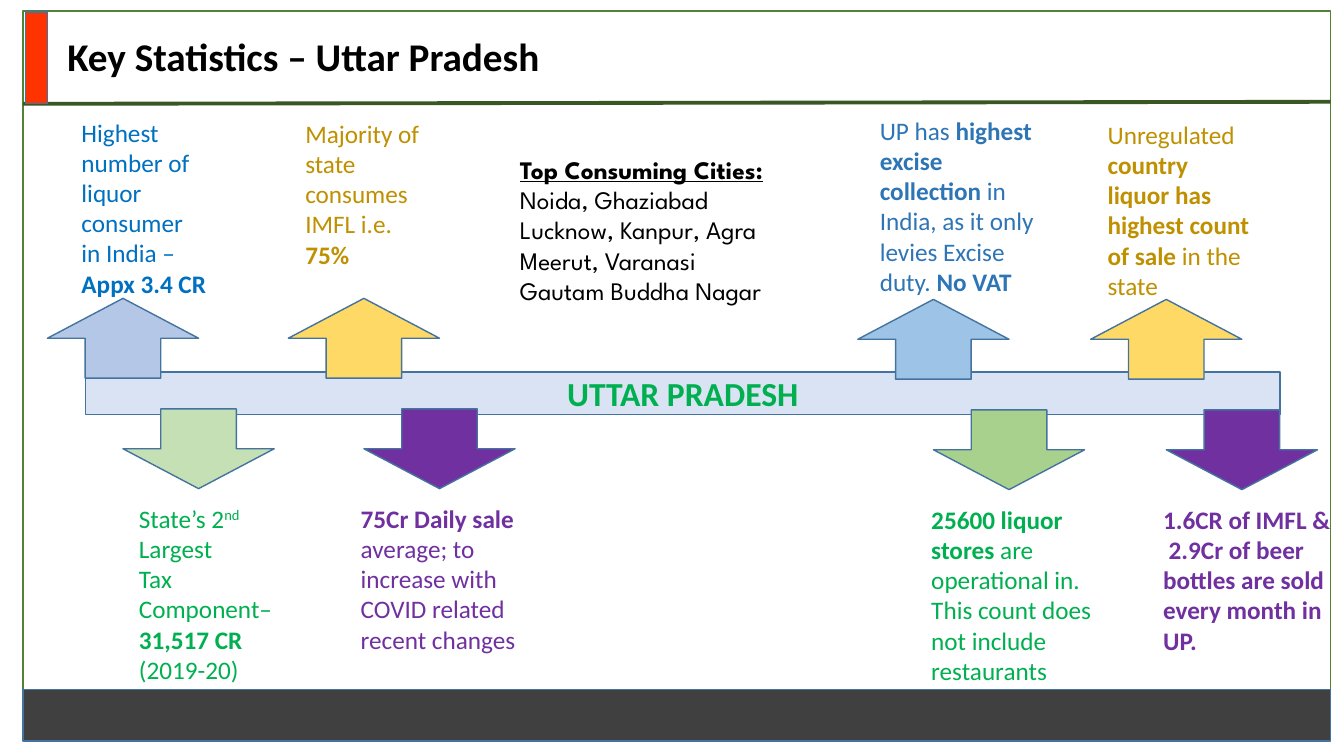
"""Build the Key Statistics slide for Uttar Pradesh on a grid of 160 columns by 90 rows."""
from pptx import Presentation
from pptx.dml.color import RGBColor
from pptx.enum.shapes import MSO_CONNECTOR, MSO_SHAPE
from pptx.enum.text import MSO_ANCHOR, PP_ALIGN
from pptx.oxml.ns import qn
from pptx.util import Inches, Pt
from lxml.etree import SubElement

BLACK = RGBColor(0x00, 0x00, 0x00)
WHITE = RGBColor(0xFF, 0xFF, 0xFF)
CHARCOAL = RGBColor(0x40, 0x40, 0x40)
RED = RGBColor(0xFF, 0x33, 0x00)
FRAME_GREEN = RGBColor(0x54, 0x82, 0x35)
RULE_GREEN = RGBColor(0x38, 0x57, 0x23)
OUTLINE = RGBColor(0x43, 0x73, 0x9E)
BAND = RGBColor(0xDA, 0xE3, 0xF3)
GREEN = RGBColor(0x00, 0xB0, 0x50)
PURPLE = RGBColor(0x70, 0x30, 0xA0)
BLUE = RGBColor(0x00, 0x70, 0xC0)
STEEL = RGBColor(0x2E, 0x75, 0xB6)
GOLD = RGBColor(0xBF, 0x90, 0x00)
YELLOW = RGBColor(0xFF, 0xD9, 0x66)
PERIWINKLE = RGBColor(0xB4, 0xC7, 0xE7)
SKY = RGBColor(0x9D, 0xC3, 0xE6)
MINT = RGBColor(0xC5, 0xE0, 0xB4)
LEAF = RGBColor(0xA9, 0xD1, 0x8E)

deck = Presentation()
deck.slide_width, deck.slide_height = Inches(13.33), Inches(7.5)
page = deck.slides.add_slide(deck.slide_layouts[6])
COLUMN, ROW = deck.slide_width / 160, deck.slide_height / 90


def add_block(kind, left, top, width, height, fill, line=OUTLINE):
    block = page.shapes.add_shape(kind, round(left * COLUMN), round(top * ROW),
                                  round(width * COLUMN), round(height * ROW))
    block.shadow.inherit = False
    block.fill.solid()
    block.fill.fore_color.rgb = fill
    block.line.color.rgb = line
    block.line.width = Pt(1)
    return block


def write(frame, paragraphs, color, size=18, font="Calibri"):
    frame.word_wrap = True
    for index, runs in enumerate(paragraphs):
        para = frame.paragraphs[0] if index == 0 else frame.add_paragraph()
        for text, style in runs:
            span = para.add_run()
            span.text = text
            span.font.name = font
            span.font.size = Pt(size)
            span.font.color.rgb = color
            span.font.bold = "bold" in style
            span.font.underline = "underline" in style
            if "superscript" in style:
                span.font._element.set("baseline", "30000")


add_block(MSO_SHAPE.RECTANGLE, 2.76, 1.32, 155.64, 86.88, WHITE, FRAME_GREEN)
rule = page.shapes.add_connector(MSO_CONNECTOR.STRAIGHT, round(2.76 * COLUMN), round(12.36 * ROW),
                                 round(158.4 * COLUMN), round(12.12 * ROW))
rule.line.color.rgb = RULE_GREEN
rule.line.width = Pt(2.75)
SubElement(rule._element.spPr, qn("a:effectLst"))
add_block(MSO_SHAPE.RECTANGLE, 3, 1.44, 2.64, 10.92, RED)
add_block(MSO_SHAPE.RECTANGLE, 2.76, 82.08, 155.64, 6.12, CHARCOAL)

title = page.shapes.add_textbox(round(6.84 * COLUMN), round(3.24 * ROW),
                                round(114.48 * COLUMN), round(6.84 * ROW))
write(title.text_frame, [[("Key Statistics – Uttar Pradesh", "bold")]], BLACK, 28)

band = add_block(MSO_SHAPE.RECTANGLE, 10.2, 44.28, 142.2, 5.04, BAND)
write(band.text_frame, [[("UTTAR PRADESH", "bold")]], GREEN, 24)
band.text_frame.vertical_anchor = MSO_ANCHOR.MIDDLE
band.text_frame.paragraphs[0].alignment = PP_ALIGN.CENTER

ARROW_WIDTH, ARROW_HEIGHT = 18, 9.5
arrow_pairs = [
    (5.64, 35.52, PERIWINKLE, MINT),
    (34.32, 35.52, YELLOW, PURPLE),
    (102.12, 35.64, SKY, LEAF),
    (129.84, 35.64, YELLOW, PURPLE),
]
for left, top, up_fill, down_fill in arrow_pairs:
    add_block(MSO_SHAPE.UP_ARROW, left, top, ARROW_WIDTH, ARROW_HEIGHT, up_fill)
    down = add_block(MSO_SHAPE.UP_ARROW, left + ARROW_WIDTH / 2, top + 13.15,
                     ARROW_WIDTH, ARROW_HEIGHT, down_fill)
    down.rotation = 180

statistics = [
    (8.52, 13.32, 17.28, 6, BLUE, "Calibri",
     [[("Highest number of liquor consumer in India – ", ""), ("Appx 3.4 CR", "bold")]]),
    (15.36, 59.28, 19.92, 6, GREEN, "Calibri",
     [[("State’s 2", ""), ("nd", "superscript"), (" Largest", "")],
      [("Tax Component–", "")],
      [("31,517 CR ", "bold"), ("(2019-20)", "")]]),
    (35.16, 13.44, 17.28, 5, GOLD, "Calibri",
     [[("Majority of state consumes IMFL i.e. ", ""), ("75%", "bold")]]),
    (41.76, 59.28, 22.68, 5, PURPLE, "Calibri",
     [[("75Cr Daily sale ", "bold"),
       ("average; to increase with COVID related recent changes", "")]]),
    (60.72, 17.76, 36.96, 5, BLACK, "League Spartan",
     [[("Top Consuming Cities:", "bold underline")],
      [("Noida, Ghaziabad", "")],
      [("Lucknow, Kanpur, Agra", "")],
      [("Meerut, Varanasi", "")],
      [("Gautam Buddha Nagar", "")]]),
    (103.56, 13.08, 21.72, 7, STEEL, "Calibri",
     [[("UP has ", ""), ("highest excise collection ", "bold"),
       ("in India, as it only levies Excise duty. ", ""), ("No VAT", "bold")]]),
    (109.68, 59.4, 22.68, 6, GREEN, "Calibri",
     [[("25600 liquor stores ", "bold"),
       ("are operational in. This count does not include restaurants", "")]]),
    (130.68, 13.56, 19.32, 6, GOLD, "Calibri",
     [[("Unregulated ", ""), ("country liquor has highest count of sale ", "bold"),
       ("in the state", "")]]),
    (137.28, 59.4, 22.68, 5, PURPLE, "Calibri",
     [[("1.6CR of IMFL &  2.9Cr of beer bottles are sold every month in UP.", "bold")]]),
]
for left, top, width, lines, color, font, paragraphs in statistics:
    box = page.shapes.add_textbox(round(left * COLUMN), round(top * ROW),
                                  round(width * COLUMN), round((lines * 3.6 + 1.44) * ROW))
    write(box.text_frame, paragraphs, color, font=font)

deck.save("out.pptx")
